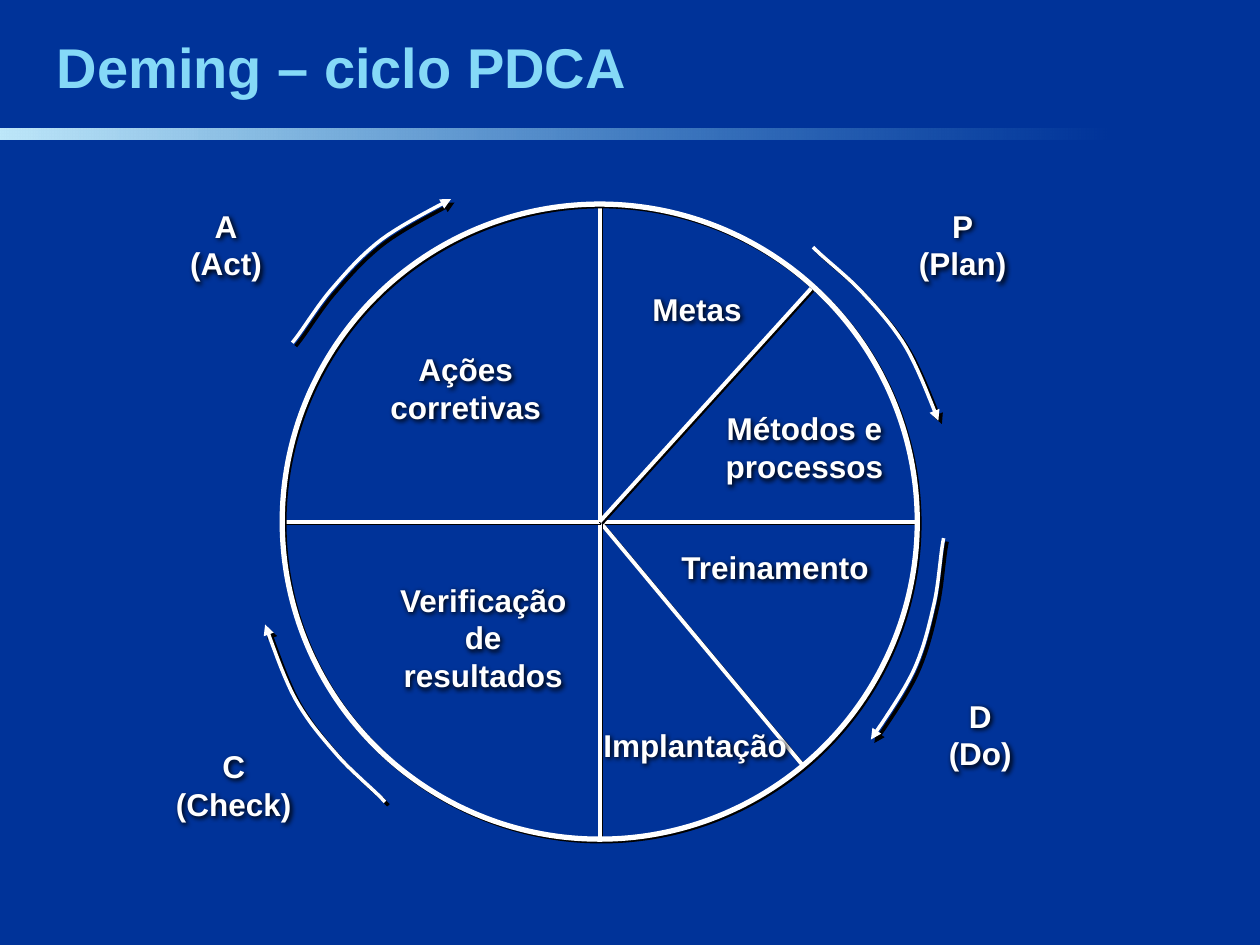
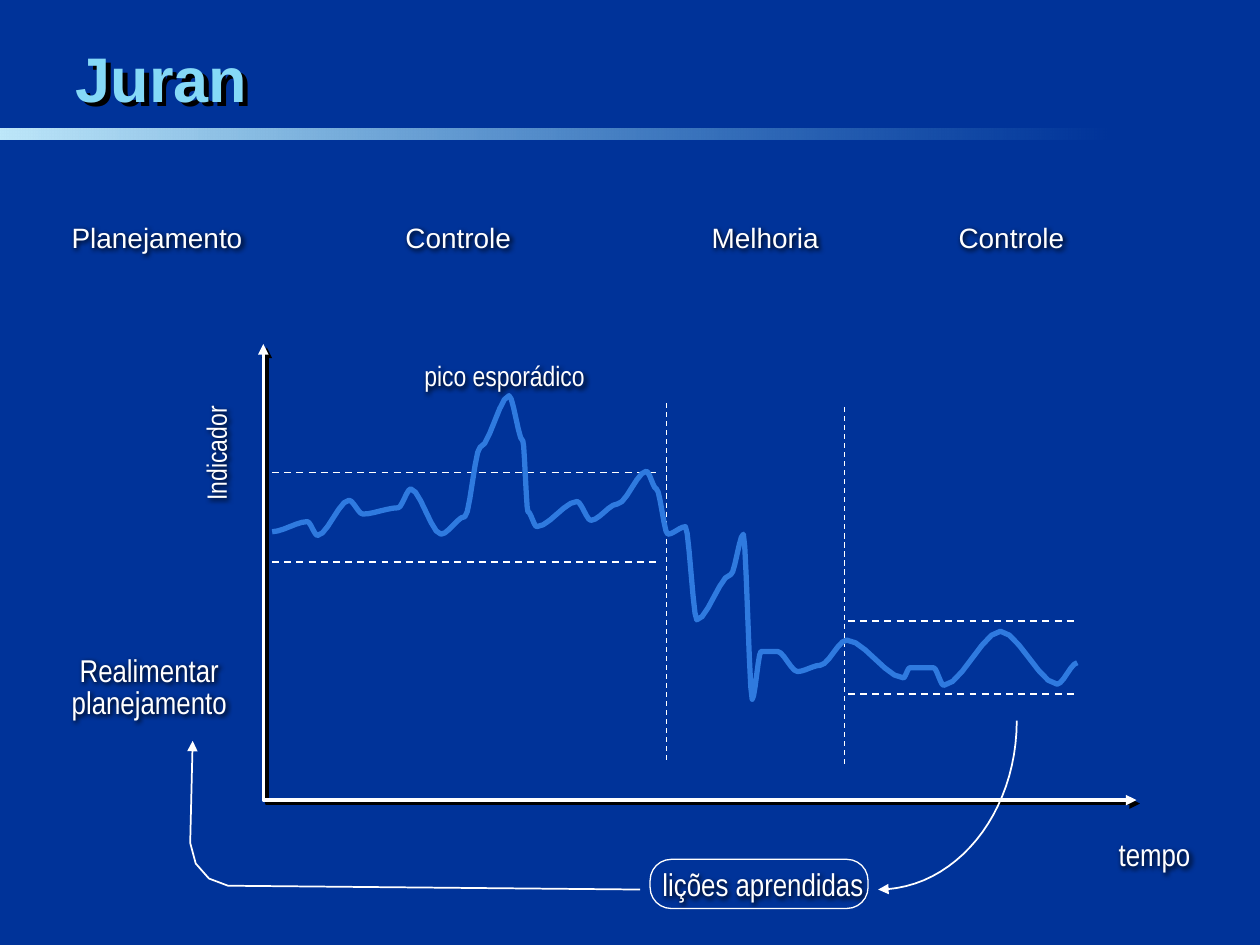
from itertools import pairwise
from math import cos, radians, sin

from lxml import etree
from pptx import Presentation
from pptx.dml.color import RGBColor
from pptx.enum.dml import MSO_LINE
from pptx.enum.shapes import MSO_CONNECTOR, MSO_SHAPE
from pptx.enum.text import MSO_ANCHOR, MSO_AUTO_SIZE, PP_ALIGN
from pptx.oxml.ns import qn
from pptx.util import Inches, Pt

NAVY = RGBColor(0x00, 0x33, 0x99)
SKY = RGBColor(0x85, 0xD9, 0xF7)
PALE = RGBColor(0xBE, 0xE8, 0xFA)
BLUE = RGBColor(0x2F, 0x7A, 0xDF)
WHITE = RGBColor(0xFF, 0xFF, 0xFF)

LEFT, CENTER = PP_ALIGN.LEFT, PP_ALIGN.CENTER
TOP, MIDDLE, BOTTOM = MSO_ANCHOR.TOP, MSO_ANCHOR.MIDDLE, MSO_ANCHOR.BOTTOM
FIXED = MSO_AUTO_SIZE.NONE
STRAIGHT = MSO_CONNECTOR.STRAIGHT
RECT, OVAL, ROUND = MSO_SHAPE.RECTANGLE, MSO_SHAPE.OVAL, MSO_SHAPE.ROUNDED_RECTANGLE
DASH = MSO_LINE.DASH
HEAD, TAIL = "headEnd", "tailEnd"

SANS, NARROW = "Arial", "Arial Narrow"
COLS, ROWS = 100, 75  # the grid that all places refer to
TITLE_ONLY = 5

# Shadows: blur and distance in points
NEAR, FAR, HARD, SOFT = (0, 1.4), (0, 2.8), (0, 4), (3, 1.4)


def write(frame, text, size=18, font=SANS, color=WHITE, bold=False,
          align=LEFT, anchor=TOP, wrap=False, space=None):
    """Fill a text frame, one paragraph for each line of the text."""
    frame.auto_size = FIXED
    frame.word_wrap = wrap
    frame.vertical_anchor = anchor
    frame.text = text
    for para in frame.paragraphs:
        para.alignment = align
        if space:
            para.line_spacing = space
        face = para.runs[0].font
        face.name, face.size, face.bold = font, Pt(size), bold
        face.color.rgb = color


def curve(start, *bends, steps=10):
    """Return points along a chain of cubic bends."""
    points = [start]
    for one, two, end in bends:
        first = points[-1]
        for step in range(1, steps + 1):
            t = step / steps
            u = 1 - t
            points.append(tuple(
                u**3 * a + 3 * u * u * t * b + 3 * u * t * t * c + t**3 * d
                for a, b, c, d in zip(first, one, two, end)))
    return points


def wave(turns, pull=0.3):
    """Join turning points by bends that leave and arrive level."""
    bends = []
    for (x, y), (next_x, next_y) in pairwise(turns):
        reach = pull * (next_x - x)
        bends.append(((x + reach, y), (next_x - reach, next_y), (next_x, next_y)))
    return curve(turns[0], *bends, steps=6)


def polar(hub, radius, angle):
    """Return the point at an angle, clockwise from the right."""
    turn = radians(angle)
    return hub[0] + radius * cos(turn), hub[1] + radius * sin(turn)


class Deck:
    def __init__(self):
        self.show = Presentation()
        self.show.slide_width, self.show.slide_height = Inches(10), Inches(7.5)
        self.col = self.show.slide_width / COLS
        self.row = self.show.slide_height / ROWS
        self.page = None
        fill = self.show.slide_master.background.fill
        fill.solid()
        fill.fore_color.rgb = NAVY

    def place(self, x, y):
        return round(x * self.col), round(y * self.row)

    def frame(self, spot):
        x, y, wide, high = spot
        return *self.place(x, y), *self.place(wide, high)

    def slide(self, text, spot, shade=None, **style):
        layout = self.show.slide_layouts[TITLE_ONLY]
        self.page = self.show.slides.add_slide(layout)
        if len(self.show.slides) == 1:
            self.band()
        title = self.page.shapes.title
        title.left, title.top, title.width, title.height = self.frame(spot)
        write(title.text_frame, text, color=SKY, bold=True, **style)
        self.shade(title, shade)

    def band(self):
        """Move one fading band to the master, for all slides."""
        band = self.page.shapes.add_shape(RECT, *self.frame((0, 10.2, 88.3, 0.9)))
        band.shadow.inherit = False
        band.line.fill.background()
        band.fill.gradient()
        band.fill.gradient_angle = 0
        for stop, color in zip(band.fill.gradient_stops, (PALE, SKY)):
            stop.color.rgb = color
        clear = band.element.xpath(".//a:gs[last()]/a:srgbClr")[0]
        etree.SubElement(clear, qn("a:alpha"), val="0")
        self.show.slide_master.shapes.element.append(band.element)

    def shade(self, shape, shade):
        """Replace the theme's shadow by the given one, or by none."""
        props = shape.element.spPr
        old = props.find(qn("a:effectLst"))
        if old is not None:
            props.remove(old)
        effect = etree.SubElement(props, qn("a:effectLst"))
        if shade:
            blur, gap = shade
            cast = etree.SubElement(
                effect, qn("a:outerShdw"), blurRad=str(Pt(blur)),
                dist=str(Pt(gap)), dir="2700000", algn="ctr", rotWithShape="0")
            etree.SubElement(cast, qn("a:srgbClr"), val="000000")

    def stroke(self, shape, width, color=WHITE, dash=None, heads=(), shade=None):
        shape.line.width = Pt(width)
        shape.line.color.rgb = color
        if dash:
            shape.line.dash_style = dash
        for end in heads:
            edge = shape.element.spPr.find(qn("a:ln"))
            etree.SubElement(edge, qn(f"a:{end}"), type="triangle")
        self.shade(shape, shade)

    def label(self, text, spot, turn=0, **style):
        box = self.page.shapes.add_textbox(*self.frame(spot))
        box.rotation = turn
        write(box.text_frame, text, **style)
        self.shade(box, SOFT)

    def line(self, start, end, width, **style):
        link = self.page.shapes.add_connector(
            STRAIGHT, *self.place(*start), *self.place(*end))
        self.stroke(link, width, **style)

    def ring(self, kind, spot, width, bend=None, **style):
        shape = self.page.shapes.add_shape(kind, *self.frame(spot))
        shape.fill.background()
        if bend:
            shape.adjustments[0] = bend
        self.stroke(shape, width, **style)

    def trace(self, points, width, shift=(0, 0), turn=0, **style):
        spots = [self.place(x + shift[0], y + shift[1]) for x, y in points]
        pen = self.page.shapes.build_freeform(*spots[0], scale=1.0)
        pen.add_line_segments(spots[1:], close=False)
        shape = pen.convert_to_shape()
        shape.fill.background()
        shape.rotation = turn
        self.stroke(shape, width, **style)


# Wheel of the cycle: spokes by angle, clockwise from the right
HUB, RADIUS = (47.6, 41.4), 25.2
SPOKES = (0, 50.2, 90, 180, 270, 312.2)

# Each stage: caption, its place, place and turn of its arrow
STAGES = (
    ("P\n(Plan)", (71.9, 15.9, 9, 7), (63.2, 20.8), 96.3),
    ("D\n(Do)", (74.3, 54.8, 7, 7), (65.7, 45), 152),
    ("C\n(Check)", (12.6, 58.8, 11.9, 7), (19.5, 50.9), 278.1),
    ("A\n(Act)", (14.1, 15.9, 7.7, 7), (23.2, 15.8), 0),
)

# Each part of the wheel: text, place, whether it wraps
PARTS = (
    ("Metas", (50.8, 22.5, 9.1, 4), False),
    ("Métodos e processos", (53.9, 32, 19.9, 7), True),
    ("Treinamento", (53.1, 43, 17, 4), False),
    ("Implantação", (46.9, 57.1, 16.6, 4), False),
    ("Verificação\nde\nresultados", (28.3, 45.6, 20.1, 10), True),
    ("Ações corretivas", (28.7, 27.3, 16.5, 7), True),
)


def cycle(deck):
    deck.slide("Deming – ciclo PDCA", (3.5, 2, 82.5, 6.4), size=32, anchor=BOTTOM)

    # Wheel
    for angle in SPOKES:
        deck.line(HUB, polar(HUB, RADIUS, angle), 2.25, shade=NEAR)
    corner = [middle - RADIUS for middle in HUB]
    deck.ring(OVAL, (*corner, 2 * RADIUS, 2 * RADIUS), 3, shade=NEAR)
    for text, spot, wrap in PARTS:
        deck.label(text, spot, bold=True, wrap=wrap, align=CENTER if wrap else LEFT)

    # Stages: one arrow, moved and turned around the wheel
    arrow = curve((12.6, 0), ((11.7, 0.5), (8.7, 2), (7.1, 3.2)),
                  ((5.5, 4.4), (4.2, 5.9), (3, 7.3)),
                  ((1.9, 8.6), (0.7, 10.6), (0, 11.4)))
    for text, spot, shift, turn in STAGES:
        deck.label(text, spot, bold=True, align=CENTER)
        deck.trace(arrow, 2, shift, turn, heads=[HEAD], shade=FAR)


# Plot: origin and ends of the axes
ORIGIN, AXIS_TOP, AXIS_END = (20.9, 63.5), 27.3, 90.2

# Phases: name, left edge and width of its heading
PHASES = (("Planejamento", 4.7, 15.5), ("Controle", 31.2, 10.4),
          ("Melhoria", 55.5, 10.5), ("Controle", 75.1, 10.4))

# Control limits: left, right, upper and lower level
LIMITS = ((21.6, 52.4, 37.5, 44.6), (67.3, 85.4, 49.3, 55.1))

# Borders of the improvement phase: place and top
BORDERS, BORDER_HIGH = ((52.9, 32), (67, 32.3)), 28.3

# The indicator: only the points where its course turns
STEADY = [(21.6, 42.2), (24.4, 41.4), (25.2, 42.5), (27.7, 39.7), (28.8, 40.8),
          (31.6, 40.3), (32.6, 38.8), (35, 42.4), (36.9, 41)]
PEAK = [(38.1, 35.5), (40.4, 31.4), (41.5, 35), (41.9, 40.6), (42.6, 41.8)]
AFTER = [(45.8, 39.8), (46.9, 41.3), (49, 40), (51.3, 37.4)]
BETTER = [(52.1, 38.8), (53, 42.4), (54.4, 41.8), (55.3, 49.2), (58, 45.6),
          (59, 42.4), (59.7, 55.5), (60.4, 51.7)]
STABLE = [(61.7, 51.7), (63.3, 53.3), (65.1, 52.8), (67.2, 50.8), (71.7, 53.8),
          (72.2, 53), (74.1, 53), (74.9, 54.4), (79.4, 50.1), (83.9, 54.3),
          (85.5, 52.6)]


def juran(deck):
    deck.slide("Juran", (5, 3, 81.7, 6.2), HARD, size=36, anchor=MIDDLE)

    # Axes
    deck.trace([(ORIGIN[0], AXIS_TOP), ORIGIN, (AXIS_END, ORIGIN[1])], 2,
               heads=[HEAD, TAIL], shade=FAR)

    # Headings, limits and borders of the phases
    for name, left, wide in PHASES:
        deck.label(name, (left, 17, wide, 3.7), size=16)
    for left, right, *levels in LIMITS:
        for level in levels:
            deck.line((left, level), (right, level), 1, dash=DASH)
    for x, top in BORDERS:
        deck.line((x, top), (x, top + BORDER_HIGH), 0.75, dash=DASH)

    # Notes around the plot
    deck.label("Indicador", (12.4, 34.1, 9.5, 3.7), turn=270, size=16, font=NARROW)
    deck.label("pico esporádico", (32.7, 28, 14.7, 3.7), size=16, font=NARROW)
    deck.label("tempo", (87.8, 65.8, 7.7, 4), font=NARROW)
    deck.label("Realimentar planejamento", (3.5, 51.6, 16.7, 6.1), font=NARROW,
               align=CENTER, wrap=True, space=0.85)

    # Lessons flow back to planning
    drop = curve((80.7, 57.2), ((80.7, 64.6), (75.8, 70.6), (69.7, 70.6)), steps=24)
    bend = curve((18.1, 70.3), ((16.4, 70.1), (15.2, 68.7), (15.1, 66.9)), steps=3)
    for points in (drop, [(50.8, 70.6), *bend, (15.3, 58.8)]):
        deck.trace(points, 1, heads=[TAIL])
    deck.label("lições aprendidas", (51.6, 68.2, 18, 4), font=NARROW)
    deck.ring(ROUND, (51.6, 68.2, 17.3, 3.9), 0.75, bend=0.43)

    # Course of the indicator
    deck.trace(wave(STEADY + PEAK + AFTER + BETTER + STABLE), 3, color=BLUE)


def main():
    deck = Deck()
    cycle(deck)
    juran(deck)
    deck.show.save("out.pptx")


if __name__ == "__main__":
    main()
